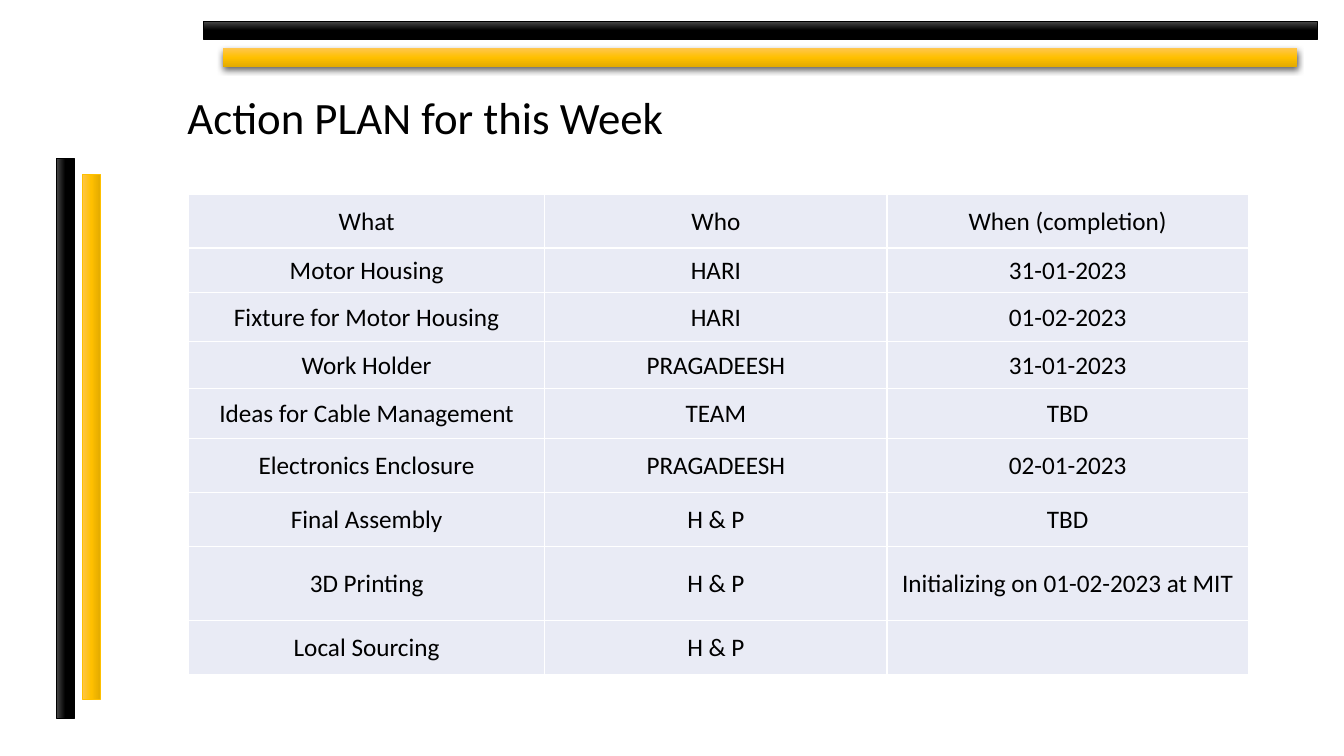
from dataclasses import dataclass

from pptx import Presentation
from pptx.dml.color import RGBColor
from pptx.enum.shapes import MSO_SHAPE
from pptx.enum.text import MSO_ANCHOR, MSO_AUTO_SIZE, PP_ALIGN
from pptx.oxml import parse_xml
from pptx.oxml.ns import nsdecls
from pptx.util import Pt


@dataclass(frozen=True)
class Theme:
    font: str = "Calibri"
    head: int = 32
    body: int = 18
    ink: str = "000000"
    cell: str = "E9EBF5"
    rule: str = "FFFFFF"
    gold: tuple = ("FFC64B", "FFC000", "E3AB00")
    black: tuple = ("4B4B4B", "000000", "000000")


THEME = Theme()
THICK = 13
ROWS = [
    (38.2, "What", "Who", "When (completion)"),
    (31.8, "Motor Housing", "HARI", "31-01-2023"),
    (35.2, "Fixture for Motor Housing", "HARI", "01-02-2023"),
    (33.4, "Work Holder", "PRAGADEESH", "31-01-2023"),
    (35.6, "Ideas for Cable Management", "TEAM", "TBD"),
    (38.6, "Electronics Enclosure", "PRAGADEESH", "02-01-2023"),
    (38.6, "Final Assembly", "H & P", "TBD"),
    (53.2, "3D Printing", "H & P", "Initializing on 01-02-2023 at MIT"),
    (38.2, "Local Sourcing", "H & P", ""),
]
WIDTHS = (254.6, 244.4, 258.2)


def put_text(frame, text, size=THEME.body, align=PP_ALIGN.CENTER, space=1.0):
    frame.word_wrap = True
    para = frame.paragraphs[0]
    para.alignment = align
    para.line_spacing = space
    para.font.size = Pt(size)
    if text:
        run = para.add_run()
        run.text = text
        run.font.size = Pt(size)
        run.font.name = THEME.font
        run.font.color.rgb = RGBColor.from_string(THEME.ink)


def add_title(slide, text):
    title = slide.shapes.title
    title.left, title.top = Pt(126.7), Pt(33.8)
    title.width, title.height = Pt(828), Pt(104.4)
    frame = title.text_frame
    frame.auto_size = MSO_AUTO_SIZE.NONE
    frame.vertical_anchor = MSO_ANCHOR.MIDDLE
    put_text(frame, text, size=THEME.head, align=PP_ALIGN.LEFT, space=0.9)


def add_bar(slide, left, top, length, tones, turn=0, line=True, shadow=False):
    """Add a bar with a gradient across its thickness; left and top are before the turn."""
    bar = slide.shapes.add_shape(
        MSO_SHAPE.RECTANGLE, Pt(left), Pt(top), Pt(length), Pt(THICK))
    bar.rotation = turn
    bar.shadow.inherit = False
    props = bar._element.spPr
    stops = "".join(
        f'<a:gs pos="{i * 50000}"><a:srgbClr val="{tone}"/></a:gs>'
        for i, tone in enumerate(tones))
    props.insert(2, parse_xml(
        f'<a:gradFill {nsdecls("a")} rotWithShape="1"><a:gsLst>{stops}</a:gsLst>'
        '<a:lin ang="5400000" scaled="0"/></a:gradFill>'))
    if line:
        bar.line.color.rgb = RGBColor.from_string(tones[1])
        bar.line.width = Pt(0.5)
    else:
        bar.line.fill.background()
    if shadow:
        props[-1].append(parse_xml(
            f'<a:outerShdw {nsdecls("a")} blurRad="{Pt(4.5)}" dist="{Pt(1.5)}" '
            f'dir="5400000" rotWithShape="0"><a:srgbClr val="{THEME.ink}">'
            '<a:alpha val="63000"/></a:srgbClr></a:outerShdw>'))


def add_edges(cell):
    props = cell._tc.get_or_add_tcPr()
    for i, side in enumerate(("lnL", "lnR", "lnT", "lnB")):
        props.insert(i, parse_xml(
            f'<a:{side} {nsdecls("a")} w="{Pt(1)}"><a:solidFill>'
            f'<a:srgbClr val="{THEME.rule}"/></a:solidFill></a:{side}>'))


def fill_cell(cell, text):
    cell.fill.solid()
    cell.fill.fore_color.rgb = RGBColor.from_string(THEME.cell)
    cell.vertical_anchor = MSO_ANCHOR.MIDDLE
    cell.margin_left = cell.margin_right = cell.margin_top = Pt(0.7)
    cell.margin_bottom = Pt(0)
    put_text(cell.text_frame, text)
    add_edges(cell)


def add_plan(slide, left, top):
    high = sum(row[0] for row in ROWS)
    table = slide.shapes.add_table(
        len(ROWS), len(WIDTHS), Pt(left), Pt(top), Pt(sum(WIDTHS)), Pt(high)).table
    table.first_row = table.horz_banding = False
    for col, width in zip(table.columns, WIDTHS):
        col.width = Pt(width)
    for row, (height, *texts) in zip(table.rows, ROWS):
        row.height = Pt(height)
        for cell, text in zip(row.cells, texts):
            fill_cell(cell, text)


def main():
    deck = Presentation()
    deck.slide_width, deck.slide_height = Pt(960), Pt(540)
    slide = deck.slides.add_slide(deck.slide_layouts[5])
    add_bar(slide, 145.4, 15.1, 795.6, THEME.black)
    add_bar(slide, -122.4, 305.3, 375.1, THEME.gold, turn=270)
    add_bar(slide, -153.2, 306.7, 399.6, THEME.black, turn=270)
    add_bar(slide, 159.1, 34.6, 767.5, THEME.gold, line=False, shadow=True)
    add_title(slide, "Action PLAN for this Week")
    add_plan(slide, 134.6, 139)
    deck.save("out.pptx")


if __name__ == "__main__":
    main()
